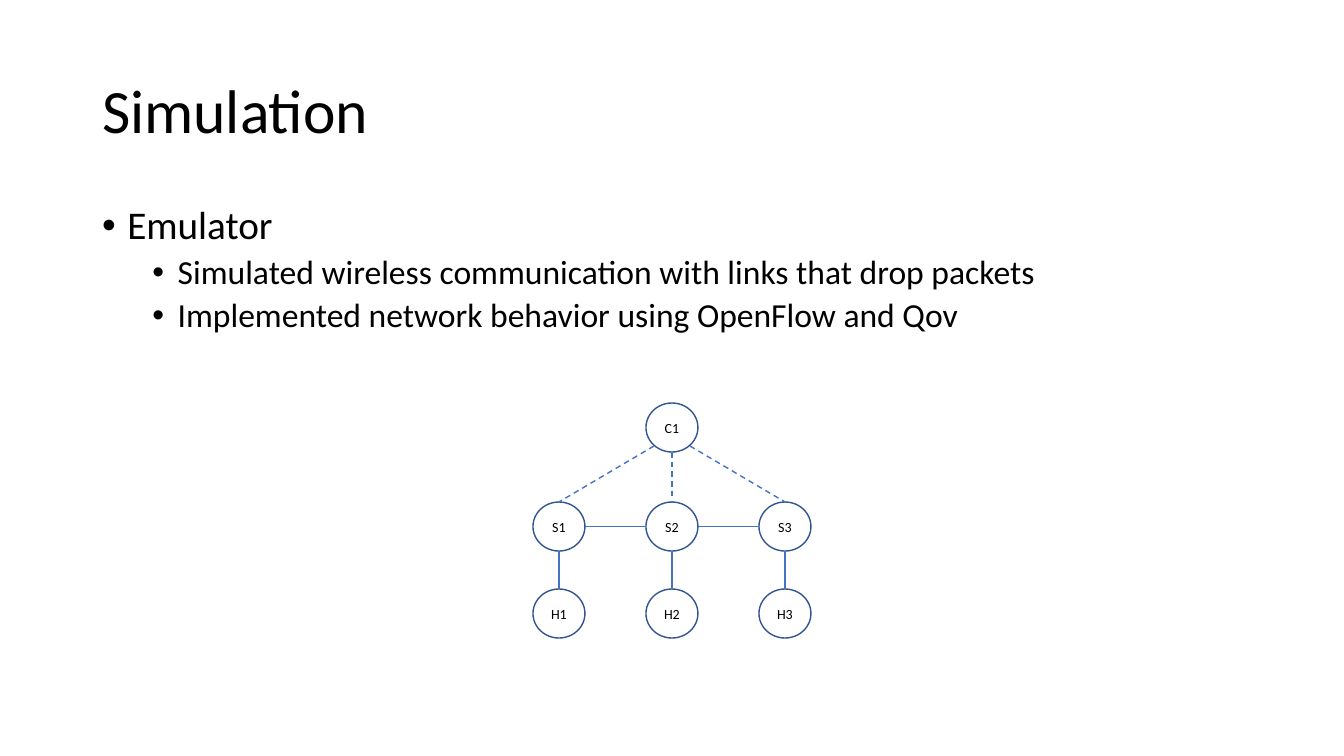
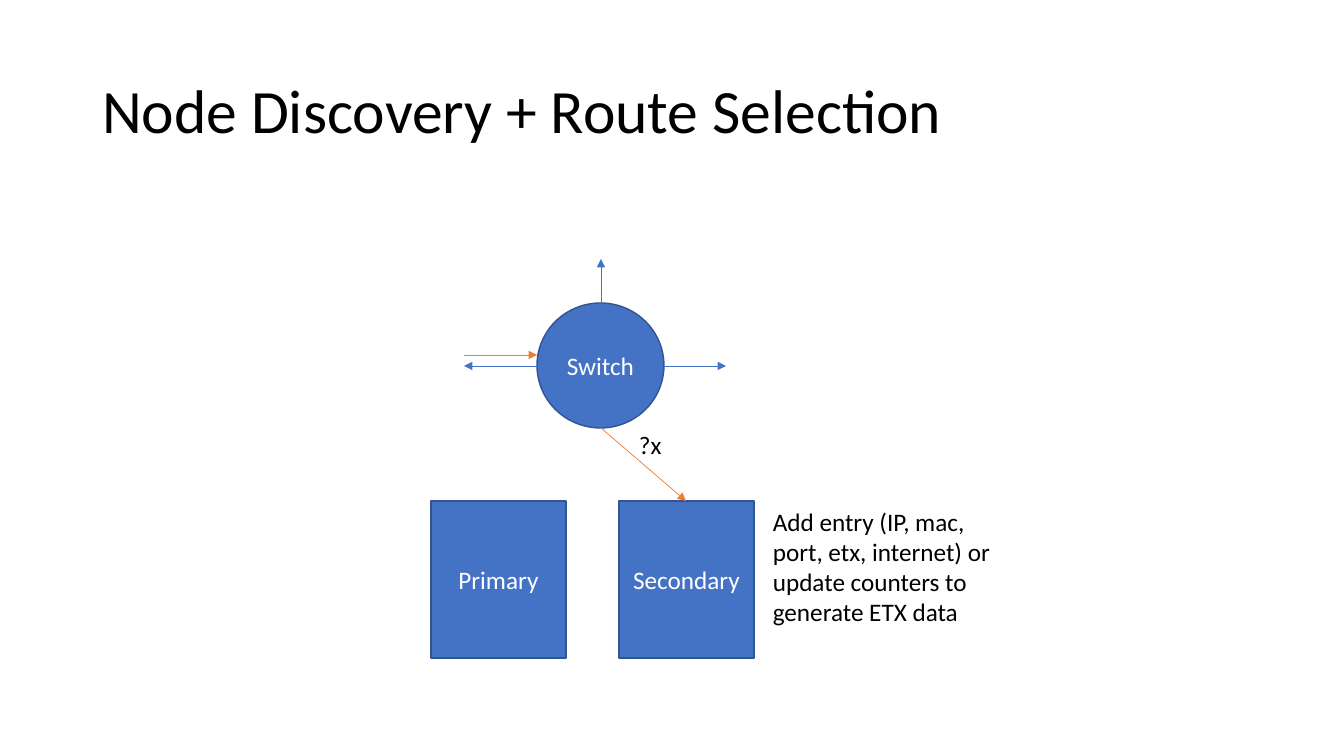
"""Build two slides on a simulated network and its node discovery."""
import pptx
import pptx.util
import pptx.dml.color
import pptx.enum.dml
import pptx.enum.shapes
import pptx.enum.text
import pptx.oxml.ns
import lxml.etree

PIXEL = 914400 / 100.8
FONT = "Calibri"
COLORS = {"text": "000000", "light": "FFFFFF", "blue": "4472C4",
          "outline": "325491", "orange": "ED7D31"}
SHAPES = pptx.enum.shapes.MSO_SHAPE
ALIGN = pptx.enum.text.PP_ALIGN
color = {name: pptx.dml.color.RGBColor.from_string(value) for name, value in COLORS.items()}
qn = pptx.oxml.ns.qn


def add_box(slide, kind, bounds, text, size, font_color, fill=None):
    """Add a labelled shape, or a plain text box when kind is None."""
    lengths = [round(value * PIXEL) for value in bounds]
    if kind is None:
        box = slide.shapes.add_textbox(*lengths)
    else:
        box = slide.shapes.add_shape(kind, *lengths)
        box.shadow.inherit = False
        box.line.color.rgb = color["outline"]
        box.line.width = pptx.util.Pt(1)
        if fill:
            box.fill.solid()
            box.fill.fore_color.rgb = color[fill]
        else:
            box.fill.background()
    box.text_frame.word_wrap = True
    box.text_frame.text = text
    para = box.text_frame.paragraphs[0]
    para.alignment = ALIGN.LEFT if kind is None else ALIGN.CENTER
    para.font.name = FONT
    para.font.size = pptx.util.Pt(size)
    para.font.color.rgb = color[font_color]


def add_link(slide, ends, line_color, width, dashed=False, arrow=False):
    """Add a straight line between two points, given as x1, y1, x2, y2."""
    link = slide.shapes.add_connector(
        pptx.enum.shapes.MSO_CONNECTOR.STRAIGHT, *[round(value * PIXEL) for value in ends])
    link.line.color.rgb = color[line_color]
    link.line.width = pptx.util.Pt(width)
    if dashed:
        link.line.dash_style = pptx.enum.dml.MSO_LINE.DASH
    if arrow:
        lxml.etree.SubElement(link.line._get_or_add_ln(), qn("a:tailEnd"), type="triangle")
    lxml.etree.SubElement(link._element.spPr, qn("a:effectLst"))


deck = pptx.Presentation()
deck.slide_width = round(1344 * PIXEL)
deck.slide_height = round(756 * PIXEL)

slides = []
for layout_index, title_text in [(1, "Simulation"), (5, "Node Discovery + Route Selection")]:
    slide = deck.slides.add_slide(deck.slide_layouts[layout_index])
    title = slide.shapes.title
    title.left, title.top, title.width, title.height = [
        round(value * PIXEL) for value in (92, 41, 1159, 146)]
    title.text_frame.text = title_text
    title.text_frame.auto_size = pptx.enum.text.MSO_AUTO_SIZE.NONE
    title.text_frame.vertical_anchor = pptx.enum.text.MSO_ANCHOR.MIDDLE
    para = title.text_frame.paragraphs[0]
    para.alignment = ALIGN.LEFT
    para.line_spacing = 0.9
    para.font.name = FONT
    para.font.size = pptx.util.Pt(44)
    para.font.color.rgb = color["text"]
    slides.append(slide)
simulation, discovery = slides

body = simulation.placeholders[1]
body.left, body.top, body.width, body.height = [
    round(value * PIXEL) for value in (92, 201, 1159, 480)]
body.text_frame.auto_size = pptx.enum.text.MSO_AUTO_SIZE.NONE
bullets = [(0, "Emulator"),
           (1, "Simulated wireless communication with links that drop packets"),
           (1, "Implemented network behavior using OpenFlow and Qov")]
body.text_frame.text = "\n".join(text for level, text in bullets)
for para, (level, text) in zip(body.text_frame.paragraphs, bullets):
    para.level = level
    para.line_spacing = 0.9
    para.space_before = pptx.util.Pt((10, 5)[level])
    para.font.name = FONT
    para.font.size = pptx.util.Pt((28, 24)[level])
    para.font.color.rgb = color["text"]
    properties = para._p.get_or_add_pPr()
    properties.set("marL", str(pptx.util.Inches((0.25, 0.75)[level])))
    properties.set("indent", str(pptx.util.Inches(-0.25)))
    bullet_font = lxml.etree.Element(qn("a:buFont"), typeface="Arial")
    bullet = lxml.etree.Element(qn("a:buChar"), char="•")
    default_run = properties.find(qn("a:defRPr"))
    default_run.addprevious(bullet_font)
    default_run.addprevious(bullet)

NODE_WIDTH, NODE_HEIGHT = 52, 49
CENTERS = [559 + 113 * column for column in range(3)]
CONTROLLER_TOP, SWITCH_TOP, HOST_TOP = 403, 502, 589
nodes = [("C1", CENTERS[1], CONTROLLER_TOP)]
for number, center in enumerate(CENTERS, 1):
    nodes += [(f"S{number}", center, SWITCH_TOP), (f"H{number}", center, HOST_TOP)]
for name, center, top in nodes:
    add_box(simulation, SHAPES.OVAL, (center - NODE_WIDTH / 2, top, NODE_WIDTH, NODE_HEIGHT),
            name, 10, "text")
for center in CENTERS:
    add_link(simulation, (center, SWITCH_TOP + NODE_HEIGHT, center, HOST_TOP), "blue", 1)
switch_middle = SWITCH_TOP + NODE_HEIGHT / 2
for left, right in zip(CENTERS, CENTERS[1:]):
    add_link(simulation, (left + NODE_WIDTH / 2, switch_middle,
                          right - NODE_WIDTH / 2, switch_middle), "blue", 1)
controller_exits = [(654, 446), (672, CONTROLLER_TOP + NODE_HEIGHT), (690, 446)]
for exit_point, center in zip(controller_exits, CENTERS):
    add_link(simulation, (*exit_point, center, SWITCH_TOP), "blue", 1, dashed=True)

for kind, bounds, text in [(SHAPES.OVAL, (537, 303, 127, 125), "Switch"),
                           (SHAPES.RECTANGLE, (431, 501, 135, 157), "Primary"),
                           (SHAPES.RECTANGLE, (619, 501, 135, 157), "Secondary")]:
    add_box(discovery, kind, bounds, text, 18, "light", "blue")
for ends, line_color in [((664, 366, 726, 366), "blue"),
                         ((537, 366, 464, 366), "blue"),
                         ((601, 303, 601, 259), "blue"),
                         ((601, 428, 686, 501), "orange"),
                         ((464, 355, 537, 355), "orange")]:
    add_link(discovery, ends, line_color, 0.5, arrow=True)
for bounds, text in [
        ((629, 424, 60, 40), "?x"),
        ((763, 501, 239, 132), "Add entry (IP, mac, port, etx, internet) or "
                               "update counters to generate ETX data")]:
    add_box(discovery, None, bounds, text, 18, "text")

deck.save("out.pptx")
